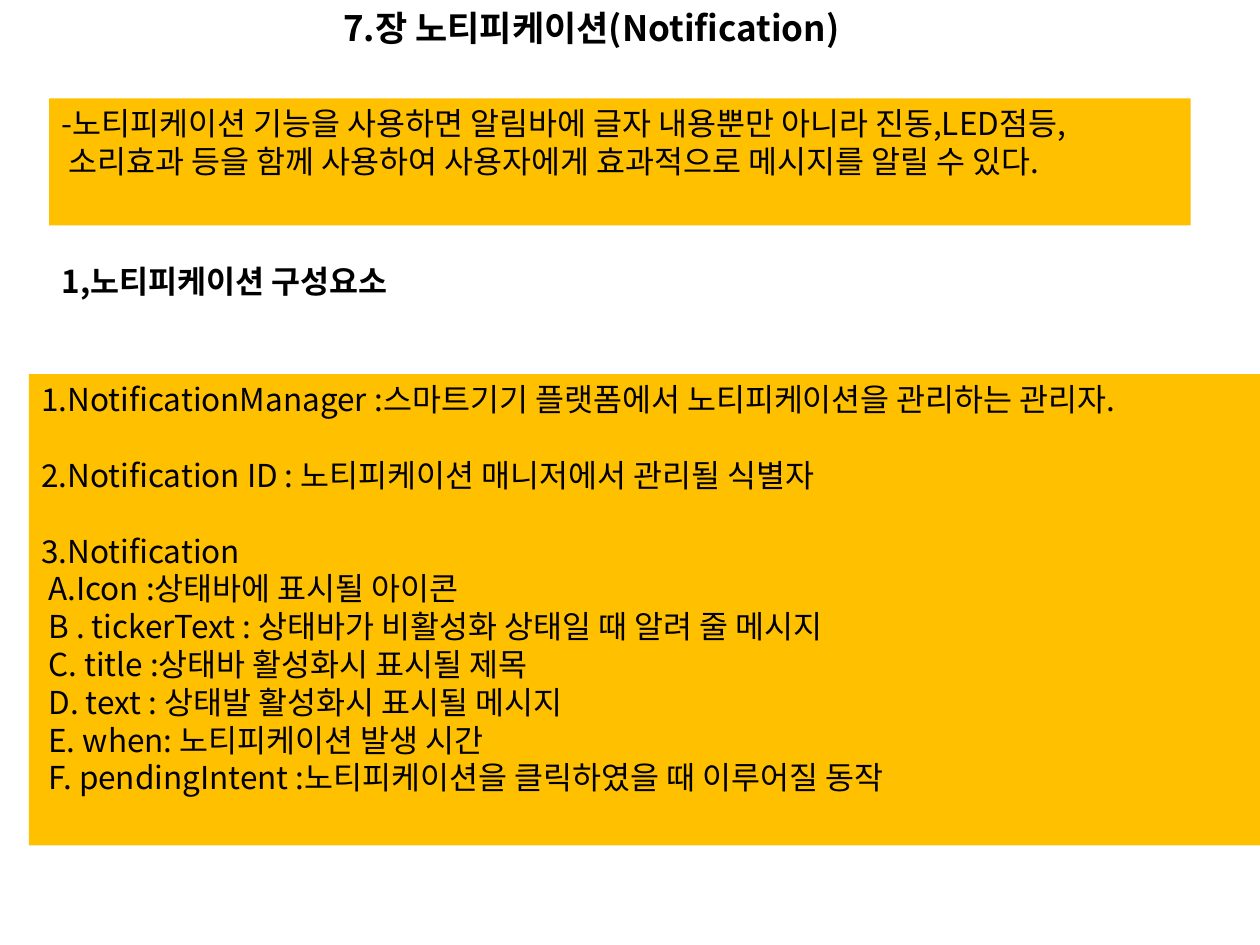
from pptx import Presentation
from pptx.dml.color import RGBColor
from pptx.enum import shapes, text
from pptx.util import Inches, Pt
from lxml import etree

FONT = "Noto Sans CJK KR"
BLACK = RGBColor(0, 0, 0)
AMBER = RGBColor(0xFF, 0xC0, 0x00)
LINE = 21.6
NS = "{http://schemas.openxmlformats.org/drawingml/2006/main}"
INTRO = [
    "-노티피케이션 기능을 사용하면 알림바에 글자 내용뿐만 아니라 진동,LED점등,",
    " 소리효과 등을 함께 사용하여 사용자에게 효과적으로 메시지를 알릴 수 있다.",
]
PARTS = [
    ["1.NotificationManager :스마트기기 플랫폼에서 노티피케이션을 관리하는 관리자."],
    ["2.Notification ID : 노티피케이션 매니저에서 관리될 식별자"],
    [
        "3.Notification",
        " A.Icon :상태바에 표시될 아이콘",
        " B . tickerText : 상태바가 비활성화 상태일 때 알려 줄 메시지",
        " C. title :상태바 활성화시 표시될 제목",
        " D. text : 상태발 활성화시 표시될 메시지",
        " E. when: 노티피케이션 발생 시간",
        " F. pendingIntent :노티피케이션을 클릭하였을 때 이루어질 동작",
    ],
]


def write(shape, groups, size=18, bold=False, align=text.PP_ALIGN.LEFT):
    """Write groups of lines, with one line's height between groups."""
    frame = shape.text_frame
    frame.word_wrap = True
    frame.auto_size = text.MSO_AUTO_SIZE.NONE
    frame.vertical_anchor = text.MSO_ANCHOR.TOP
    rows = [(line, g > 0 and i == 0) for g, group in enumerate(groups)
            for i, line in enumerate(group)]
    for n, (line, gap) in enumerate(rows):
        para = frame.add_paragraph() if n else frame.paragraphs[0]
        para.alignment = align
        para.space_before = Pt(LINE if gap else 0)
        run = para.add_run()
        run.text = line
        font = run.font
        font.name, font.size, font.bold = FONT, Pt(size), bold
        font.color.rgb = BLACK
        etree.SubElement(run._r.get_or_add_rPr(), NS + "ea", typeface=FONT)


def head(slide, box, line, **style):
    """Place a bold heading in the box."""
    shape = slide.shapes.add_textbox(*map(Inches, box))
    write(shape, [[line]], bold=True, **style)


def panel(slide, box, groups):
    """Place an amber panel of text in the box."""
    shape = slide.shapes.add_shape(shapes.MSO_SHAPE.RECTANGLE, *map(Inches, box))
    shape.shadow.inherit = False
    shape.fill.solid()
    shape.fill.fore_color.rgb = AMBER
    shape.line.fill.background()
    write(shape, groups)


def main():
    """Build the slide and save it."""
    deck = Presentation()
    deck.slide_width, deck.slide_height = Inches(10), Inches(7.5)
    slide = deck.slides.add_slide(deck.slide_layouts[6])
    head(slide, (0.7, 0, 8.05, 0.44), "7.장 노티피케이션(Notification) ",
         size=20, align=text.PP_ALIGN.CENTER)
    panel(slide, (0.39, 0.78, 9.06, 1.01), [INTRO])
    head(slide, (0.39, 2.03, 8.59, 0.4), "1,노티피케이션 구성요소")
    panel(slide, (0.23, 2.97, 10.08, 3.74), PARTS)
    deck.save("out.pptx")


if __name__ == "__main__":
    main()
